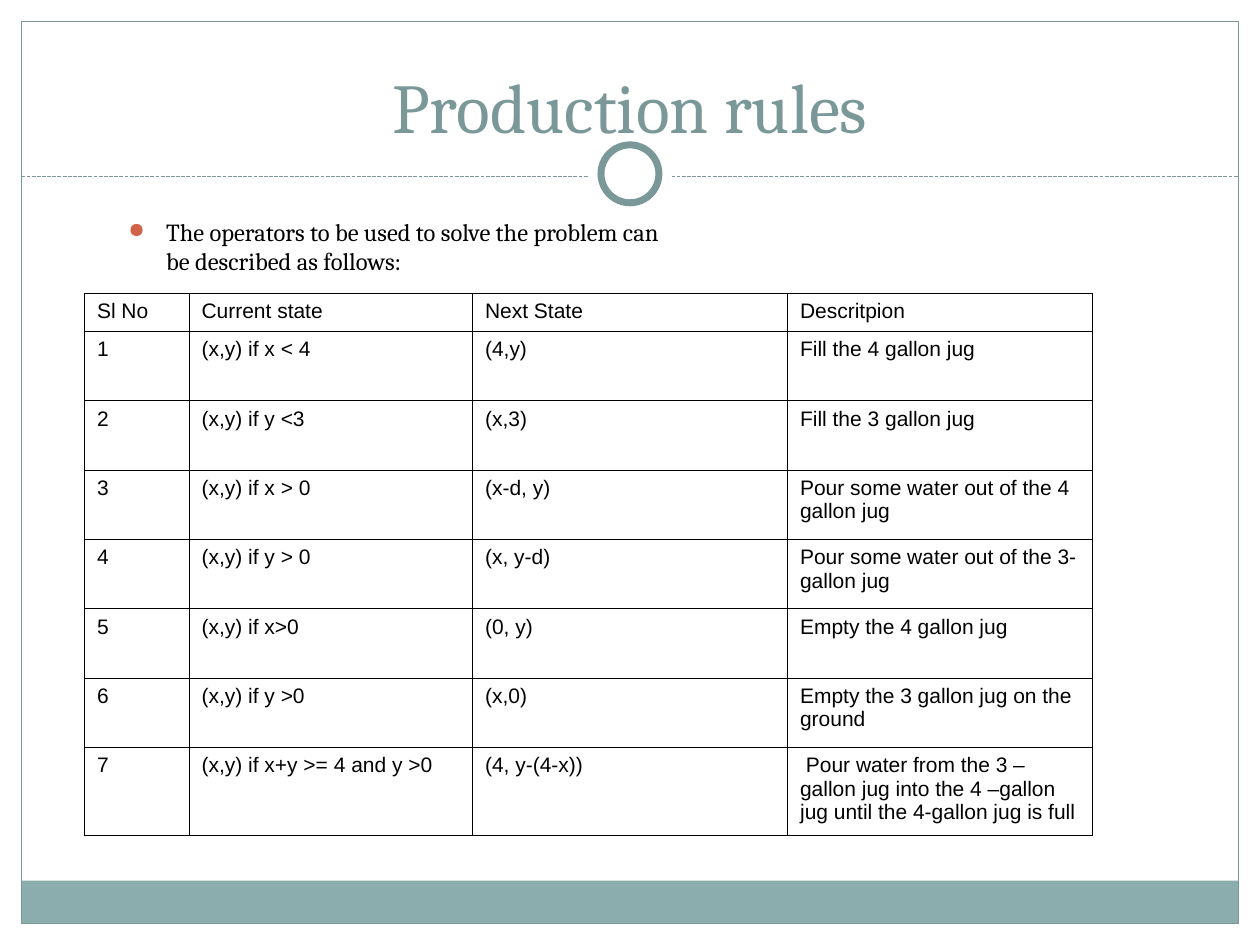
from collections import namedtuple
from dataclasses import dataclass

from lxml.etree import SubElement
from pptx import Presentation
from pptx.dml.color import RGBColor
from pptx.enum.dml import MSO_LINE
from pptx.enum.shapes import MSO_CONNECTOR, MSO_SHAPE
from pptx.enum.text import MSO_ANCHOR, PP_ALIGN
from pptx.oxml.ns import qn
from pptx.util import Inches, Pt

Box = namedtuple("Box", "left top width height")


@dataclass(frozen=True)
class Theme:
    """Colours, fonts and sizes of the slide."""
    white: str = "FFFFFF"
    black: str = "000000"
    accent: str = "7B9899"
    band: str = "8CADAE"
    bullet: str = "D16349"
    serif: str = "Cambria"
    sans: str = "Arial"
    title_size: float = 40
    body_size: float = 14
    cell_size: float = 12
    thin: float = 0.75
    ring: float = 4
    inner_border: float = 0.45
    outer_border: float = 1.08


THEME = Theme()
COLUMN_WIDTHS = [0.83, 2.25, 2.5, 2.42]
ROW_HEIGHTS = [0.3] + [0.55] * 6 + [0.7]
RULES = [
    ("Sl No", "Current state", "Next State", "Descritpion"),
    ("1", "(x,y) if x < 4", "(4,y)", "Fill the 4 gallon jug"),
    ("2", "(x,y) if y <3", "(x,3)", "Fill the 3 gallon jug"),
    ("3", "(x,y) if x > 0", "(x-d, y)", "Pour some water out of the 4 gallon jug"),
    ("4", "(x,y) if y > 0", "(x, y-d)", "Pour some water out of the 3-gallon jug"),
    ("5", "(x,y) if x>0", "(0, y)", "Empty the 4 gallon jug"),
    ("6", "(x,y) if y >0", "(x,0)", "Empty the 3 gallon jug on the ground"),
    ("7", "(x,y) if x+y >= 4 and y >0", "(4, y-(4-x))",
     " Pour water from the 3 –gallon jug into the 4 –gallon jug until the 4-gallon jug is full"),
]


def rgb(value):
    """Return a colour object for a hex value."""
    return RGBColor.from_string(value)


def inches(box):
    """Return the four sides of a box as lengths."""
    return [Inches(side) for side in box]


def format_text(para, font, size, color):
    """Format every run of a paragraph."""
    for span in para.runs:
        span.font.name = font
        span.font.size = Pt(size)
        span.font.color.rgb = rgb(color)


def add_panel(page, kind, box, fill=None, line=None, width=THEME.thin):
    """Add a preset shape with an optional fill and outline."""
    shape = page.shapes.add_shape(kind, *inches(box))
    shape.shadow.inherit = False
    if fill:
        shape.fill.solid()
        shape.fill.fore_color.rgb = rgb(fill)
    else:
        shape.fill.background()
    if line:
        shape.line.color.rgb = rgb(line)
        shape.line.width = Pt(width)
    else:
        shape.line.fill.background()


def add_frame(page, box):
    """Draw the bottom band, the outline, the dashed divider and the ring."""
    band_height, divider_top = 0.34, 1.4
    right, bottom = box.left + box.width, box.top + box.height
    band = Box(box.left, bottom - band_height, box.width, band_height)
    add_panel(page, MSO_SHAPE.RECTANGLE, band, fill=THEME.band)
    add_panel(page, MSO_SHAPE.RECTANGLE, box, line=THEME.accent)

    divider = page.shapes.add_connector(
        MSO_CONNECTOR.STRAIGHT, Inches(box.left), Inches(divider_top),
        Inches(right), Inches(divider_top))
    divider.line.color.rgb = rgb(THEME.accent)
    divider.line.width = Pt(THEME.thin)
    divider.line.dash_style = MSO_LINE.SQUARE_DOT
    SubElement(divider._element.spPr, qn("a:effectLst"))

    center_x, center_y = box.left + box.width / 2, 1.38
    for size, line in ((0.67, None), (0.46, THEME.accent)):
        circle = Box(center_x - size / 2, center_y - size / 2, size, size)
        add_panel(page, MSO_SHAPE.OVAL, circle, THEME.white, line, THEME.ring)


def add_text(page, box, text, size, color):
    """Add a wrapped serif text box and return its frame."""
    frame = page.shapes.add_textbox(*inches(box)).text_frame
    frame.word_wrap = True
    frame.text = text
    format_text(frame.paragraphs[0], THEME.serif, size, color)
    return frame


def add_title(page, box):
    """Add the centred heading at the bottom of its box."""
    frame = add_text(page, box, "Production rules", THEME.title_size, THEME.accent)
    frame.vertical_anchor = MSO_ANCHOR.BOTTOM
    frame.paragraphs[0].alignment = PP_ALIGN.CENTER


def add_introduction(page, box):
    """Add the bulleted sentence above the table."""
    frame = add_text(
        page, box,
        "The operators to be used to solve the problem can be described as follows:",
        THEME.body_size, THEME.black)
    para = frame.paragraphs[0]
    para.space_before = Pt(3.5)
    props = para._p.get_or_add_pPr()
    props.set("marL", str(Inches(0.3)))
    props.set("indent", str(-Inches(0.3)))
    color = SubElement(props, qn("a:buClr"))
    SubElement(color, qn("a:srgbClr"), val=THEME.bullet)
    SubElement(props, qn("a:buSzPct"), val="85000")
    SubElement(props, qn("a:buChar"), char="●")


def set_borders(cell, outer_sides):
    """Draw the four borders of a cell, heavier on the table's edge."""
    props = cell._tc.get_or_add_tcPr()
    for side in "LRTB":
        width = THEME.outer_border if side in outer_sides else THEME.inner_border
        border = SubElement(props, qn(f"a:ln{side}"), w=str(Pt(width)))
        fill = SubElement(border, qn("a:solidFill"))
        SubElement(fill, qn("a:srgbClr"), val=THEME.black)


def add_rules_table(page, box):
    """Add the table of production rules."""
    last_row, last_column = len(RULES) - 1, len(COLUMN_WIDTHS) - 1
    table = page.shapes.add_table(
        last_row + 1, last_column + 1, *inches(box)).table
    table.first_row = table.horz_banding = False
    for column, width in zip(table.columns, COLUMN_WIDTHS):
        column.width = Inches(width)
    for row, height in zip(table.rows, ROW_HEIGHTS):
        row.height = Inches(height)
    for row, texts in enumerate(RULES):
        for column, text in enumerate(texts):
            cell = table.cell(row, column)
            edges = {"L": column == 0, "R": column == last_column,
                     "T": row == 0, "B": row == last_row}
            set_borders(cell, [side for side, outer in edges.items() if outer])
            cell.fill.background()
            para = cell.text_frame.paragraphs[0]
            para.text = text
            para.space_before = Pt(3)
            format_text(para, THEME.sans, THEME.cell_size, THEME.black)


def main():
    """Build the slide and save the deck."""
    deck = Presentation()
    deck.slide_width, deck.slide_height = Inches(10), Inches(7.5)
    page = deck.slides.add_slide(deck.slide_layouts[6])
    add_frame(page, Box(0.17, 0.17, 9.66, 7.16))
    add_title(page, Box(0.5, 0.17, 9, 1.05))
    add_introduction(page, Box(0.92, 1.67, 4.42, 0.58))
    add_rules_table(page, Box(0.67, 2.33, sum(COLUMN_WIDTHS), sum(ROW_HEIGHTS)))
    deck.save("out.pptx")


if __name__ == "__main__":
    main()
